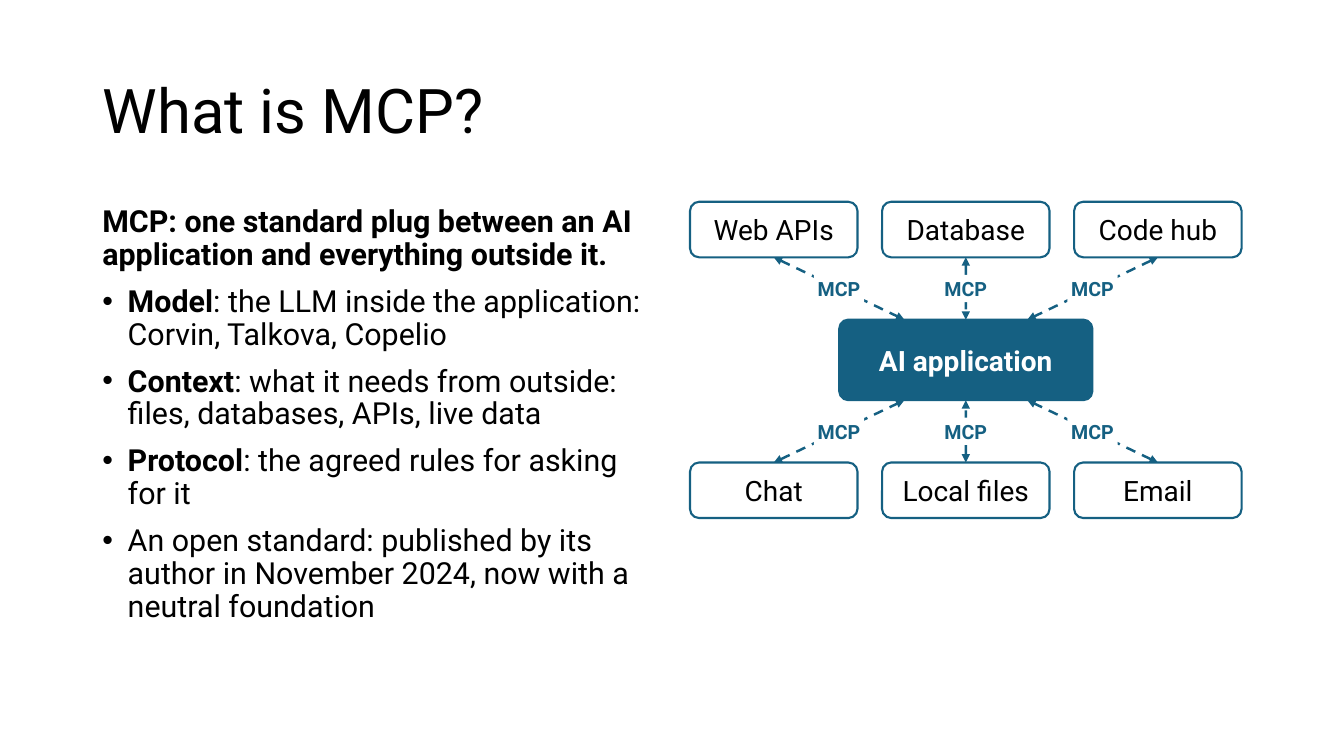
from lxml import etree
from pptx import Presentation
from pptx import util as u
from pptx.dml import color
from pptx.enum import dml, shapes, text
from pptx.oxml import ns

FONT = "Roboto"
BLUE, WHITE, BLACK = "156082", "FFFFFF", "000000"

TITLE = "What is MCP?"
LEAD = "MCP: one standard plug between an AI application and everything outside it."
BULLETS = [
    ("Model", ": the LLM inside the application: Corvin, Talkova, Copelio"),
    ("Context", ": what it needs from outside: files, databases, APIs, live data"),
    ("Protocol", ": the agreed rules for asking for it"),
    ("", "An open standard: published by its author in November 2024, "
         "now with a neutral foundation"),
]
HUB = "AI application"
LINK = "MCP"
TOOLS_ABOVE = ["Web APIs", "Database", "Code hub"]
TOOLS_BELOW = ["Chat", "Local files", "Email"]

CENTER_X, CENTER_Y = 24.34, 9.07
TOOL_WIDTH, TOOL_HEIGHT, TOOL_PITCH = 4.22, 1.4, 4.84
HUB_WIDTH, HUB_HEIGHT, HUB_PITCH = 6.38, 2.03, 1.55
LABEL_WIDTH, LABEL_HEIGHT = 1.27, 0.69
ROW_GAP = 1.57
CORNER = 0.23


def rgb(value):
    return color.RGBColor.from_string(value)


def style_font(font, size, value, bold=False):
    font.name = FONT
    font.size = u.Pt(size)
    font.bold = bold
    font.color.rgb = rgb(value)


def add_box(slide, kind, center_x, center_y, width, height, label, size, fill, ink, bold):
    shape = slide.shapes.add_shape(
        kind, u.Cm(center_x - width / 2), u.Cm(center_y - height / 2), u.Cm(width), u.Cm(height))
    shape.shadow.inherit = False
    shape.fill.solid()
    shape.fill.fore_color.rgb = rgb(fill)
    if kind == shapes.MSO_SHAPE.ROUNDED_RECTANGLE:
        shape.adjustments[0] = CORNER / height
        shape.line.color.rgb = rgb(BLUE)
        shape.line.width = u.Pt(1.5)
    else:
        shape.line.fill.background()
    frame = shape.text_frame
    frame.margin_left = frame.margin_right = u.Cm(0.08)
    frame.margin_top = frame.margin_bottom = 0
    frame.vertical_anchor = text.MSO_ANCHOR.MIDDLE
    frame.text = label
    paragraph = frame.paragraphs[0]
    paragraph.alignment = text.PP_ALIGN.CENTER
    style_font(paragraph.runs[0].font, size, ink, bold)
    return shape


def add_link(slide, start_x, start_y, end_x, end_y):
    connector = slide.shapes.add_connector(
        shapes.MSO_CONNECTOR.STRAIGHT, u.Cm(start_x), u.Cm(start_y), u.Cm(end_x), u.Cm(end_y))
    connector.line.color.rgb = rgb(BLUE)
    connector.line.width = u.Pt(1.75)
    connector.line.dash_style = dml.MSO_LINE.DASH
    line = connector.line._get_or_add_ln()
    for end in ("a:headEnd", "a:tailEnd"):
        etree.SubElement(line, ns.qn(end)).set("type", "triangle")
    etree.SubElement(connector._element.spPr, ns.qn("a:effectLst"))
    return connector


def add_title(slide):
    title = slide.shapes.title
    title.left, title.top, title.width, title.height = u.Cm(2.33), u.Cm(1.01), u.Cm(29.21), u.Cm(3.68)
    frame = title.text_frame
    frame.text = TITLE
    frame.auto_size = text.MSO_AUTO_SIZE.NONE
    frame.vertical_anchor = text.MSO_ANCHOR.MIDDLE
    paragraph = frame.paragraphs[0]
    paragraph.alignment = text.PP_ALIGN.LEFT
    paragraph.line_spacing = 0.9
    style_font(paragraph.runs[0].font, 44, BLACK)


def add_body(slide):
    frame = slide.shapes.add_textbox(u.Cm(2.33), u.Cm(5.08), u.Cm(14.4), u.Cm(12.09)).text_frame
    frame.word_wrap = True
    for index, (term, rest) in enumerate([(LEAD, "")] + BULLETS):
        paragraph = frame.add_paragraph() if index else frame.paragraphs[0]
        paragraph.line_spacing = 0.9
        paragraph.space_before = u.Pt(10 if index else 0)
        if index:
            properties = paragraph._p.get_or_add_pPr()
            properties.set("marL", str(u.Cm(0.64)))
            properties.set("indent", str(-u.Cm(0.64)))
            etree.SubElement(properties, ns.qn("a:buFont")).set("typeface", "Arial")
            etree.SubElement(properties, ns.qn("a:buChar")).set("char", "•")
        for words, bold in ((term, True), (rest, False)):
            if words:
                run = paragraph.add_run()
                run.text = words
                style_font(run.font, 21.7, BLACK, bold)


def add_diagram(slide):
    rounded, plain = shapes.MSO_SHAPE.ROUNDED_RECTANGLE, shapes.MSO_SHAPE.RECTANGLE
    hub = add_box(slide, rounded, CENTER_X, CENTER_Y, HUB_WIDTH, HUB_HEIGHT,
                  HUB, 20, BLUE, WHITE, True)
    for side, tools, tool_site, hub_site in ((-1, TOOLS_ABOVE, 2, 0), (1, TOOLS_BELOW, 0, 2)):
        hub_y = CENTER_Y + side * HUB_HEIGHT / 2
        tool_y = hub_y + side * ROW_GAP
        for column, name in enumerate(tools, start=-1):
            tool_x = CENTER_X + column * TOOL_PITCH
            hub_x = CENTER_X + column * HUB_PITCH
            tool = add_box(slide, rounded, tool_x, tool_y + side * TOOL_HEIGHT / 2,
                           TOOL_WIDTH, TOOL_HEIGHT, name, 20, WHITE, BLACK, False)
            connector = add_link(slide, tool_x, tool_y, hub_x, hub_y)
            connector.begin_connect(tool, tool_site)
            if column == 0:
                connector.end_connect(hub, hub_site)
            add_box(slide, plain, (tool_x + hub_x) / 2, (tool_y + hub_y) / 2,
                    LABEL_WIDTH, LABEL_HEIGHT, LINK, 14, WHITE, BLUE, True)


def main():
    presentation = Presentation()
    presentation.slide_width, presentation.slide_height = u.Cm(33.87), u.Cm(19.05)
    slide = presentation.slides.add_slide(presentation.slide_layouts[5])
    add_title(slide)
    add_body(slide)
    add_diagram(slide)
    presentation.save("out.pptx")


if __name__ == "__main__":
    main()
